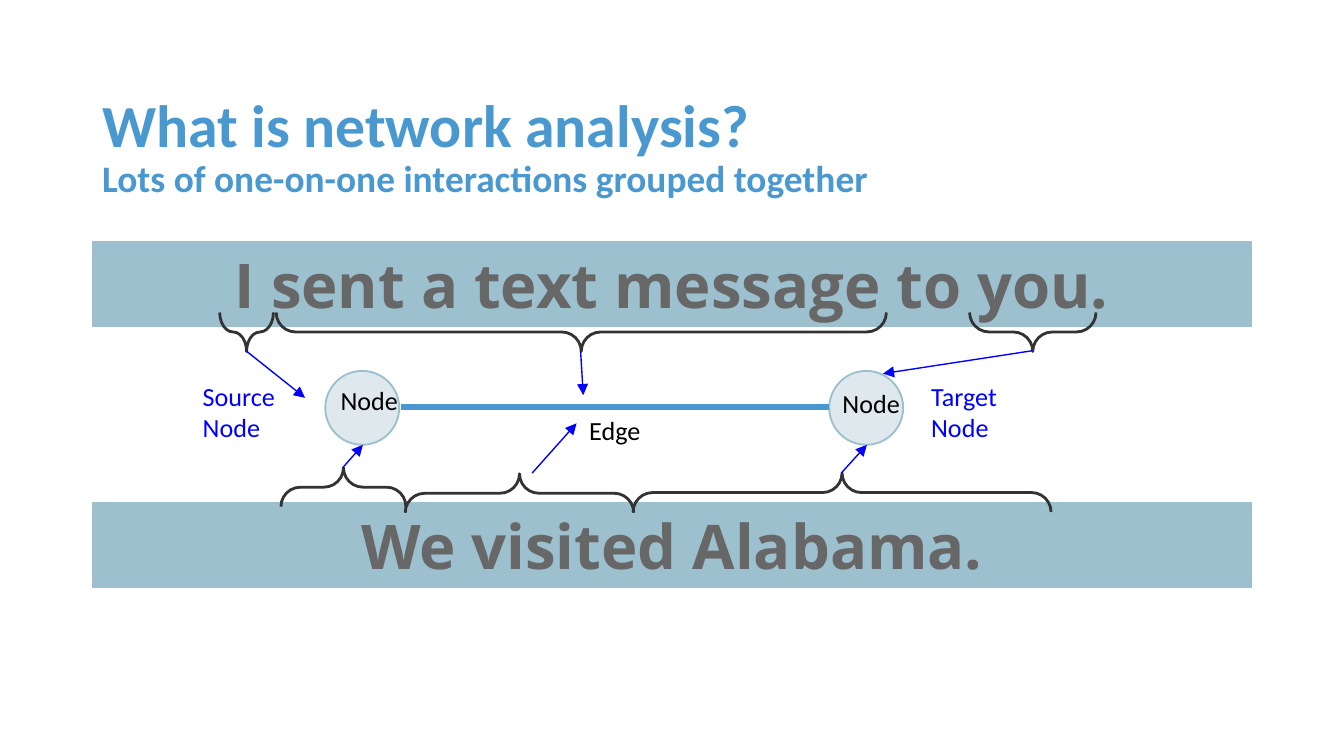
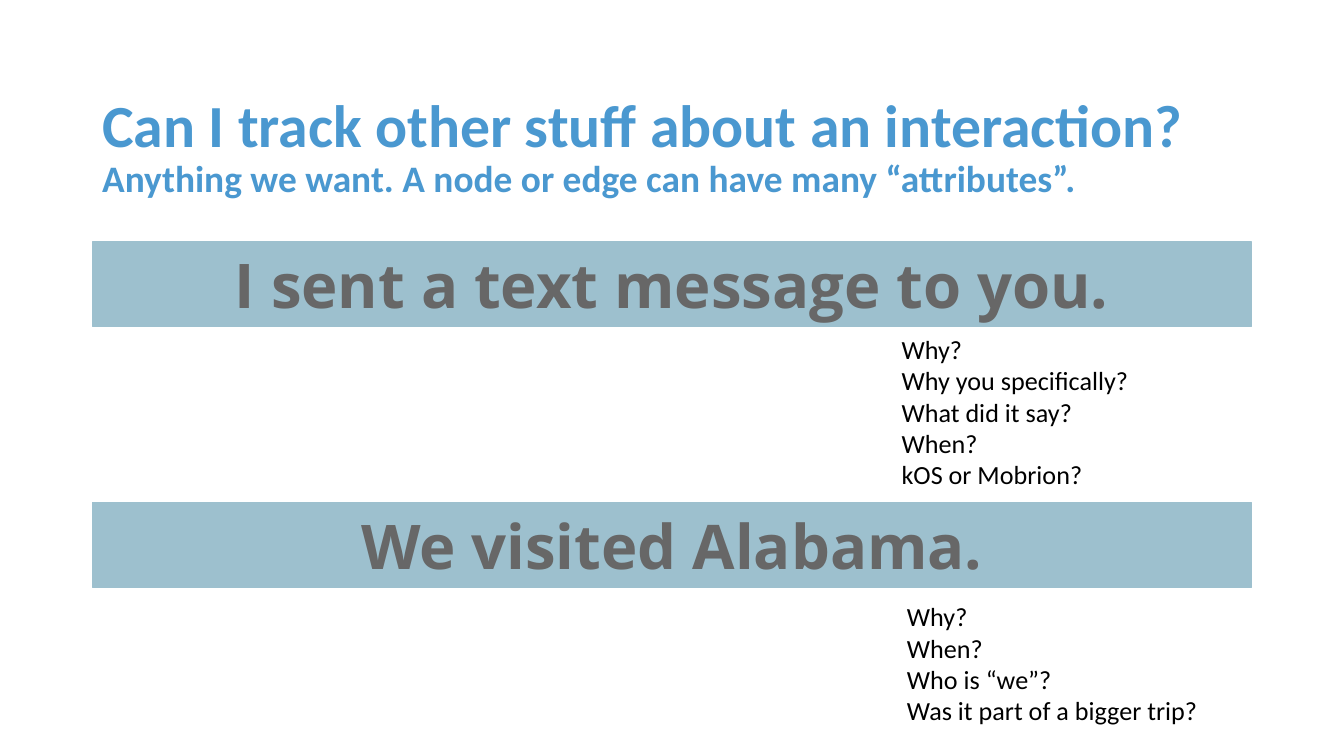
from dataclasses import dataclass

from lxml.etree import SubElement
from pptx import Presentation
from pptx.dml.color import RGBColor
from pptx.enum.shapes import MSO_CONNECTOR, MSO_SHAPE
from pptx.enum.text import MSO_ANCHOR, MSO_AUTO_SIZE, PP_ALIGN
from pptx.oxml.ns import qn
from pptx.util import Emu, Pt

PX = 9144  # 100 px to the inch

# Shared look
HEADING, BAND, SENTENCE = "4A98D0", "9DC0CE", "676767"
NODE, BRACE, POINTER, INK = "DEE8ED", "333333", "0000FF", "000000"
BODY_FONT, SENTENCE_FONT = "Calibri", "Open Sans"
BAND_LEFT, BAND_WIDTH, BAND_HEIGHT = 69, 862, 63
SENTENCES = [("I sent a text message to you.", 180), ("We visited Alabama.", 374)]
NODE_TOP, NODE_SIZE = 276, 55
NODE_LEFTS = (617, 242)
BRACE_DEPTH = 29
DOWN, UP = 270, 90


@dataclass
class Brace:
    left: int
    middle: int
    length: int
    rotation: int


@dataclass
class Line:
    start: tuple[int, int]
    end: tuple[int, int]
    color: str = POINTER
    weight: float = 0.75
    arrow: bool = True


@dataclass
class Label:
    lines: list[str]
    left: int
    top: int
    width: int
    height: int
    color: str = INK
    align: PP_ALIGN = PP_ALIGN.LEFT


BRACES = [
    Brace(169, 247, 40, DOWN),
    Brace(418, 247, 454, DOWN),
    Brace(754, 247, 94, DOWN),
    Brace(612, 366, 311, UP),
    Brace(372, 367, 170, UP),
    Brace(241, 362, 93, UP),
]
EDGE = Line((617, 303), (298, 303), HEADING, 3, False)
POINTERS = [
    Line((183, 261), (227, 296)),
    Line((768, 261), (657, 278)),
    Line((255, 348), (270, 331)),
    Line((626, 352), (645, 331)),
    Line((432, 261), (434, 294)),
    Line((396, 352), (429, 315)),
]
NAMES = [
    Label(["Node"], 227, 276, 79, 40, align=PP_ALIGN.RIGHT),
    Label(["Node"], 617, 278, 79, 40),
    Label(["Edge"], 418, 298, 79, 40, align=PP_ALIGN.CENTER),
]
ROLES = [
    Label(["Source Node"], 141, 273, 94, 71, POINTER),
    Label(["Target Node"], 683, 273, 94, 71, POINTER),
]
QUESTIONS = [
    Label(["Why?", "When?", "Who is “we”?", "Was it part of a bigger trip?"],
          665, 437, 267, 126),
    Label(["Why?", "Why you specifically?", "What did it say?", "When?",
           "kOS or Mobrion?"], 661, 238, 267, 132),
]


def px(*lengths: float) -> list[Emu]:
    return [Emu(round(length * PX)) for length in lengths]


def rgb(color: str) -> RGBColor:
    return RGBColor.from_string(color)


def set_insets(frame, side: int, end: int) -> None:
    frame.margin_left, frame.margin_right = px(side, side)
    frame.margin_top, frame.margin_bottom = px(end, end)


def add_span(para, text: str, size: int, color: str, font: str = BODY_FONT,
             bold: bool = False) -> None:
    span = para.add_run()
    span.text = text
    span.font.size = Pt(size)
    span.font.name = font
    span.font.bold = bold
    span.font.color.rgb = rgb(color)


def add_shape(page, kind: MSO_SHAPE, place: tuple, line: str, weight: float,
              fill: str | None = None):
    shape = page.shapes.add_shape(kind, *px(*place))
    shape.shadow.inherit = False
    if fill:
        shape.fill.solid()
        shape.fill.fore_color.rgb = rgb(fill)
    else:
        shape.fill.background()
    shape.line.color.rgb = rgb(line)
    shape.line.width = Pt(weight)
    return shape


def add_page(deck, title: str, subtitle: str, one_para: bool = False):
    page = deck.slides.add_slide(deck.slide_layouts[5])
    box = page.shapes.title
    box.left, box.top, box.width, box.height = px(BAND_LEFT, 30, BAND_WIDTH, 160)
    frame = box.text_frame
    frame.vertical_anchor = MSO_ANCHOR.MIDDLE
    set_insets(frame, 7, 4)
    para = frame.paragraphs[0]
    add_span(para, title, 32, HEADING, bold=True)
    if one_para:
        para.add_line_break()
    else:
        para = frame.add_paragraph()
    add_span(para, subtitle, 20, HEADING, bold=True)
    for para in frame.paragraphs:
        para.alignment = PP_ALIGN.LEFT
        para.line_spacing = 0.9
    return page


def add_band(page, text: str, top: int) -> None:
    box = add_shape(page, MSO_SHAPE.RECTANGLE,
                    (BAND_LEFT, top, BAND_WIDTH, BAND_HEIGHT), BAND, 0.75, BAND)
    frame = box.text_frame
    frame.word_wrap = True
    frame.auto_size = MSO_AUTO_SIZE.SHAPE_TO_FIT_TEXT
    frame.vertical_anchor = MSO_ANCHOR.TOP
    set_insets(frame, 7, 4)
    para = frame.paragraphs[0]
    para.alignment = PP_ALIGN.CENTER
    add_span(para, text, 33, SENTENCE, SENTENCE_FONT, True)


def add_brace(page, brace: Brace) -> None:
    top = brace.middle - brace.length // 2
    shape = add_shape(page, MSO_SHAPE.LEFT_BRACE,
                      (brace.left, top, BRACE_DEPTH, brace.length), BRACE, 1.5)
    shape.rotation = brace.rotation
    shape.adjustments[0] = shape.adjustments[1] = 0.5


def add_line(page, line: Line) -> None:
    connector = page.shapes.add_connector(MSO_CONNECTOR.STRAIGHT,
                                          *px(*line.start, *line.end))
    connector.line.color.rgb = rgb(line.color)
    connector.line.width = Pt(line.weight)
    properties = connector._element.spPr
    if line.arrow:
        SubElement(properties.find(qn("a:ln")), qn("a:tailEnd"), type="triangle")
    SubElement(properties, qn("a:effectLst"))


def add_label(page, label: Label) -> None:
    box = page.shapes.add_textbox(*px(label.left, label.top, label.width, label.height))
    frame = box.text_frame
    frame.word_wrap = True
    set_insets(frame, 10, 10)
    for index, text in enumerate(label.lines):
        para = frame.add_paragraph() if index else frame.paragraphs[0]
        para.alignment = label.align
        add_span(para, text, 14, label.color)


def build_network_page(deck) -> None:
    page = add_page(deck, "What is network analysis?",
                    "Lots of one-on-one interactions grouped together", one_para=True)
    # Sentences, with the two nodes and their edge between them
    add_band(page, *SENTENCES[0])
    for left in NODE_LEFTS:
        add_shape(page, MSO_SHAPE.OVAL, (left, NODE_TOP, NODE_SIZE, NODE_SIZE),
                  BAND, 1, NODE)
    add_line(page, EDGE)
    add_band(page, *SENTENCES[1])
    # Braces that tie words to the network
    for brace in BRACES:
        add_brace(page, brace)
    for label in NAMES:
        add_label(page, label)
    for pointer in POINTERS:
        add_line(page, pointer)
    for label in ROLES:
        add_label(page, label)


def build_attributes_page(deck) -> None:
    page = add_page(deck, "Can I track other stuff about an interaction?",
                    "Anything we want. A node or edge can have many “attributes”.")
    for text, top in SENTENCES:
        add_band(page, text, top)
    for label in QUESTIONS:
        add_label(page, label)


def main() -> None:
    deck = Presentation()
    deck.slide_width, deck.slide_height = px(1000, 562.5)
    build_network_page(deck)
    build_attributes_page(deck)
    deck.save("out.pptx")


if __name__ == "__main__":
    main()
